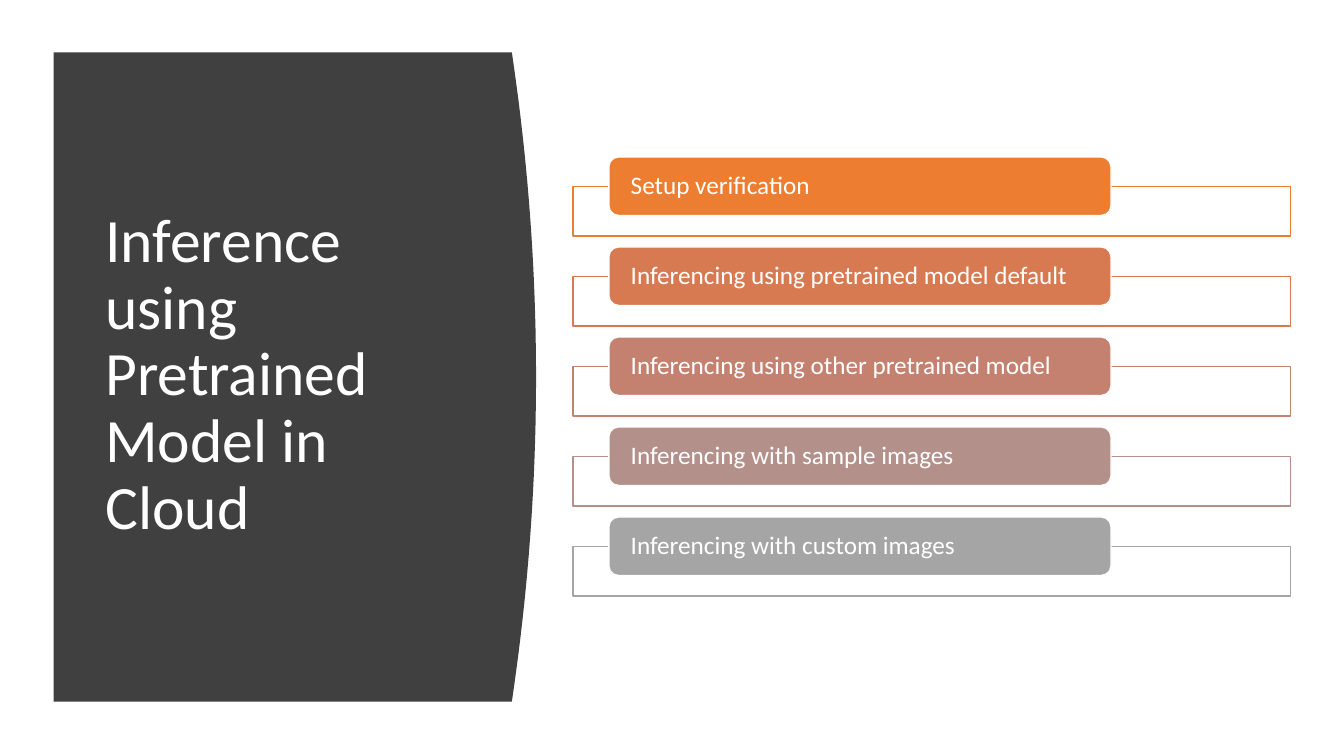
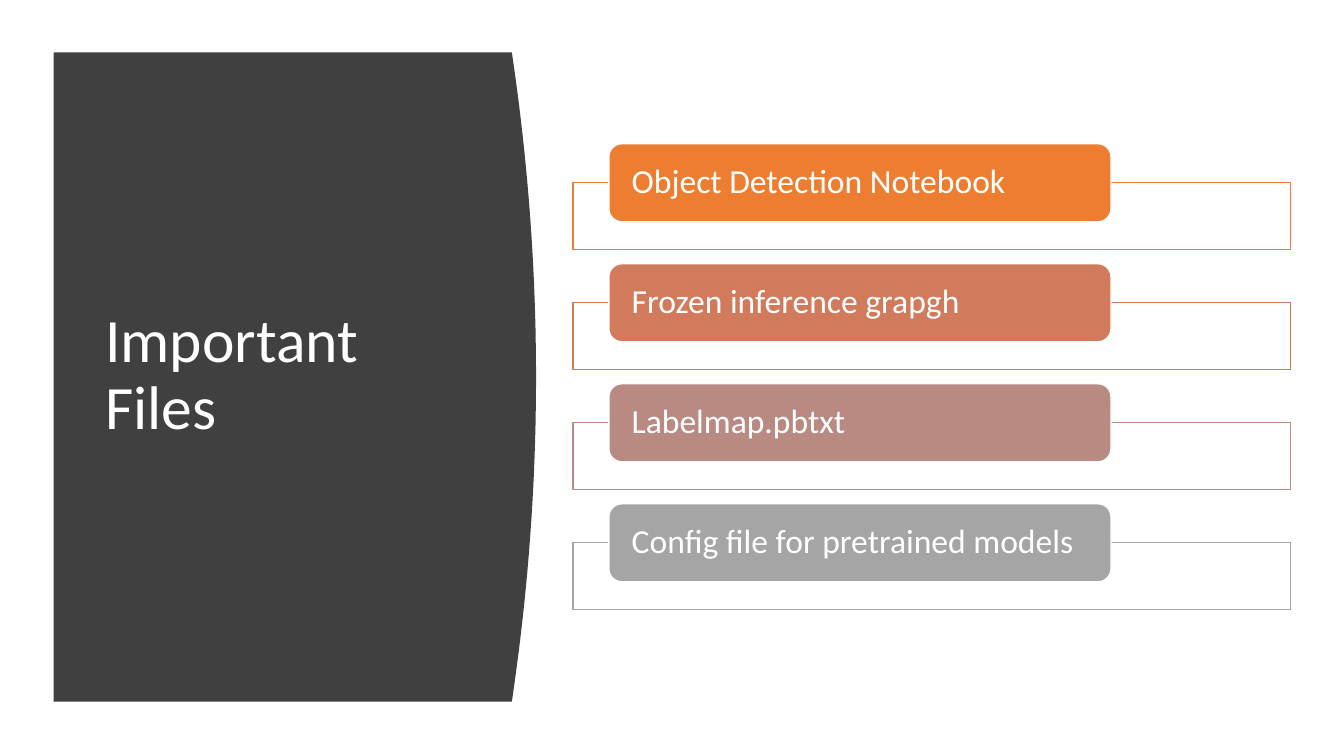
import colorsys
import dataclasses

import lxml.etree
import pptx
import pptx.dml.color
import pptx.enum.shapes
import pptx.enum.text
import pptx.oxml.ns
import pptx.util

Cm = pptx.util.Cm
Pt = pptx.util.Pt
RGB = pptx.dml.color.RGBColor
SHAPE = pptx.enum.shapes.MSO_SHAPE
MIDDLE = pptx.enum.text.MSO_ANCHOR.MIDDLE
LEFT = pptx.enum.text.PP_ALIGN.LEFT


@dataclasses.dataclass(frozen=True)
class Theme:
    font: str = "Calibri"
    white: RGB = RGB(0xFF, 0xFF, 0xFF)
    panel: RGB = RGB(0x40, 0x40, 0x40)
    first_item: RGB = RGB(0xED, 0x7D, 0x31)
    last_item: RGB = RGB(0xA5, 0xA5, 0xA5)
    title_size: int = 44
    long_list_size: int = 18
    short_list_size: int = 24
    line_spacing: float = 0.9
    outline: float = 1


@dataclasses.dataclass(frozen=True)
class Box:
    left: float
    top: float
    width: float
    height: float

    def place(self):
        return Cm(self.left), Cm(self.top), Cm(self.width), Cm(self.height)


THEME = Theme()
PANEL = Box(1.35, 1.32, 12.16, 16.36)
LIST = Box(14.44, 1.32, 18.08, 16.34)

SLIDES = [
    ("Inference using Pretrained Model in Cloud", THEME.long_list_size, [
        "Setup verification",
        "Inferencing using pretrained model default",
        "Inferencing using other pretrained model",
        "Inferencing with sample images",
        "Inferencing with custom images",
    ]),
    ("Important Files", THEME.short_list_size, [
        "Object Detection Notebook",
        "Frozen inference grapgh",
        "Labelmap.pbtxt",
        "Config file for pretrained models",
    ]),
]


def write(shape, text, size):
    frame = shape.text_frame
    frame.text = text
    frame.word_wrap = True
    frame.auto_size = pptx.enum.text.MSO_AUTO_SIZE.NONE
    frame.vertical_anchor = MIDDLE
    paragraph = frame.paragraphs[0]
    paragraph.alignment = LEFT
    paragraph.line_spacing = THEME.line_spacing
    paragraph.font.name = THEME.font
    paragraph.font.size = Pt(size)
    paragraph.font.color.rgb = THEME.white
    return frame


def add_block(slide, kind, box, fill, line):
    block = slide.shapes.add_shape(kind, *box.place())
    block.shadow.inherit = False
    block.fill.solid()
    block.fill.fore_color.rgb = fill
    block.line.color.rgb = line
    block.line.width = Pt(THEME.outline)
    return block


def set_opacity(shape, percent):
    color = shape._element.spPr.find(".//" + pptx.oxml.ns.qn("a:srgbClr"))
    alpha = lxml.etree.SubElement(color, pptx.oxml.ns.qn("a:alpha"))
    alpha.set("val", str(percent * 1000))


def blend(start, end, share):
    hls_start, hls_end = (
        colorsys.rgb_to_hls(*(channel / 255 for channel in color))
        for color in (start, end)
    )
    mixed = [a + (b - a) * share for a, b in zip(hls_start, hls_end)]
    return RGB(*(round(channel * 255) for channel in colorsys.hls_to_rgb(*mixed)))


def add_title_panel(slide, box, text):
    bulge, steps = 0.61, 40
    edge = box.left + box.width - bulge
    curve = [
        (edge + bulge * (1 - (2 * i / steps - 1) ** 2), box.top + box.height * i / steps)
        for i in range(steps + 1)
    ]
    outline = curve + [(box.left, box.top + box.height)]
    builder = slide.shapes.build_freeform(Cm(box.left), Cm(box.top))
    builder.add_line_segments([(Cm(x), Cm(y)) for x, y in outline], close=True)
    panel = builder.convert_to_shape()
    panel.shadow.inherit = False
    panel.fill.solid()
    panel.fill.fore_color.rgb = THEME.panel
    panel.line.fill.background()

    title = slide.shapes.title
    title.left, title.top, title.width, title.height = Box(
        box.left + 1.05, box.top + 1.5, 9.5, 13.31
    ).place()
    write(title, text, THEME.title_size)
    title._element.addprevious(panel._element)


def add_tabbed_list(slide, box, items, size):
    tab_height, frame_height, pitch = 0.082 * size, 0.07 * size, 0.126 * size
    total = pitch * (len(items) - 1) + tab_height / 2 + frame_height
    first_top = box.top + (box.height - total) / 2
    for i, item in enumerate(items):
        color = blend(THEME.first_item, THEME.last_item, i / (len(items) - 1))
        top = first_top + i * pitch
        frame_box = Box(box.left, top + tab_height / 2, box.width, frame_height)
        frame = add_block(slide, SHAPE.RECTANGLE, frame_box, THEME.white, color)
        set_opacity(frame, 90)
        tab_box = Box(box.left + 0.05 * box.width, top, 0.7 * box.width, tab_height)
        tab = add_block(slide, SHAPE.ROUNDED_RECTANGLE, tab_box, color, THEME.white)
        label = write(tab, item, size)
        label.margin_left = label.margin_right = Cm(0.48)
        label.margin_top = label.margin_bottom = 0


def main():
    deck = pptx.Presentation()
    deck.slide_width, deck.slide_height = Cm(33.87), Cm(19.05)
    title_only = deck.slide_layouts[5]
    for title, size, items in SLIDES:
        slide = deck.slides.add_slide(title_only)
        add_title_panel(slide, PANEL, title)
        add_tabbed_list(slide, LIST, items, size)
    deck.save("out.pptx")


if __name__ == "__main__":
    main()
